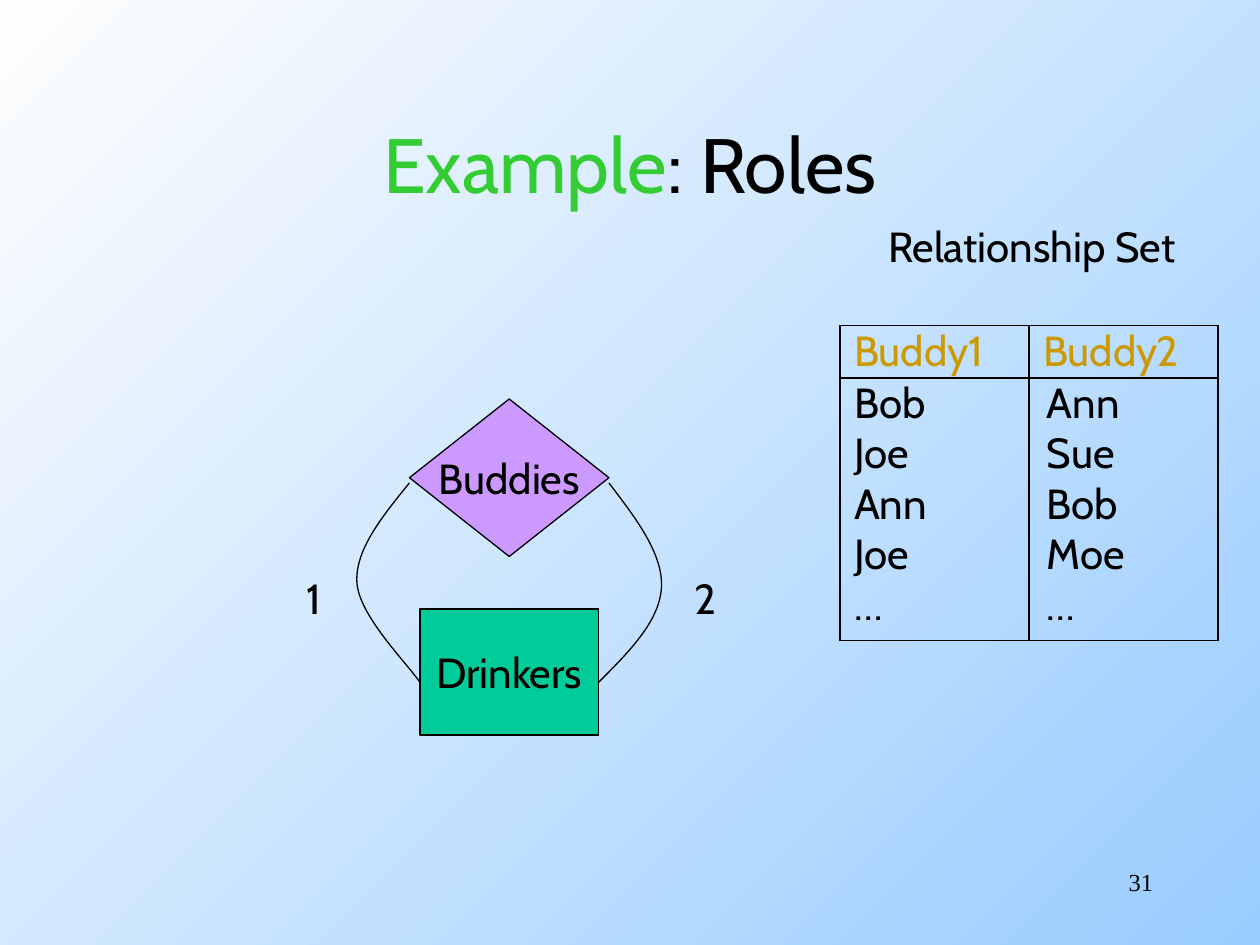
from lxml import etree
from pptx import Presentation, util as u
from pptx.dml.color import RGBColor
from pptx.enum import shapes, text
from pptx.oxml import ns

BLACK = RGBColor(0, 0, 0)
GREEN = RGBColor(0x33, 0xCC, 0x33)
TEAL = RGBColor(0, 0xCC, 0x99)
VIOLET = RGBColor(0xCC, 0x99, 0xFF)
GOLD = RGBColor(0xCC, 0x99, 0)
SKY = RGBColor(0x99, 0xCC, 0xFF)
WHITE = RGBColor(0xFE, 0xFE, 0xFE)

# The slide is a grid of 120 columns by 90 rows
prs = Presentation()
prs.slide_width, prs.slide_height = u.Inches(10), u.Inches(7.5)
CELL = prs.slide_width / 120
slide = prs.slides.add_slide(prs.slide_layouts[6])


def grid(*cells):
    return [u.Emu(round(n * CELL)) for n in cells]


def write(frame, runs, size=24, font="Cabin", align=text.PP_ALIGN.LEFT,
          anchor=text.MSO_ANCHOR.TOP, wrap=False):
    frame.word_wrap = wrap
    frame.vertical_anchor = anchor
    paragraph = frame.paragraphs[0]
    paragraph.alignment = align
    for words, color in runs:
        run = paragraph.add_run()
        run.text = words
        run.font.size, run.font.name = u.Pt(size), font
        run.font.color.rgb = color


# Background
background = slide.background.fill
background.gradient()
background.gradient_angle = 135
for stop, color in zip(background.gradient_stops, (SKY, WHITE)):
    stop.color.rgb = color

# Title
title = slide.shapes.add_textbox(*grid(9, 8, 102, 15))
write(title.text_frame, [("Example", GREEN), (": Roles", BLACK)], size=44,
      align=text.PP_ALIGN.CENTER, anchor=text.MSO_ANCHOR.MIDDLE, wrap=True)

# Entity set and relationship
for name, preset, color, place in (
        ("Drinkers", shapes.MSO_SHAPE.RECTANGLE, TEAL, (40, 58, 17, 12)),
        ("Buddies", shapes.MSO_SHAPE.DIAMOND, VIOLET, (39, 38, 19, 15))):
    node = slide.shapes.add_shape(preset, *grid(*place))
    node.shadow.inherit = False
    node.fill.solid()
    node.fill.fore_color.rgb = color
    node.line.color.rgb, node.line.width = BLACK, u.Pt(0.75)
    write(node.text_frame, [(name, BLACK)], align=text.PP_ALIGN.CENTER,
          anchor=text.MSO_ANCHOR.MIDDLE)

# Role labels
for role, column in (("1", 28), ("2", 65)):
    label = slide.shapes.add_textbox(*grid(column, 53.9, 4.6, 6))
    write(label.text_frame, [(role, BLACK)])

# Role curves: two cubic segments each, from Buddies to Drinkers
STEPS = 24
for curve in (
        [(58, 46), (60.6, 49.4), (63.2, 52.8), (63, 56),
         (62.8, 59.2), (59.9, 62.1), (57, 65)],
        [(39, 46), (36.4, 49.2), (33.8, 52.4), (34, 55.5),
         (34.2, 58.7), (39, 63.4), (40, 65)]):
    points = []
    for first in (0, 3):
        controls = curve[first:first + 4]
        for step in range(1, STEPS + 1):
            t = step / STEPS
            weights = ((1 - t) ** 3, 3 * t * (1 - t) ** 2, 3 * t * t * (1 - t), t ** 3)
            points.append(grid(*(sum(w * c[axis] for w, c in zip(weights, controls))
                                 for axis in (0, 1))))
    builder = slide.shapes.build_freeform(*grid(*curve[0]))
    builder.add_line_segments(points, close=False)
    role_line = builder.convert_to_shape()
    role_line.shadow.inherit = False
    role_line.fill.background()
    role_line.line.color.rgb, role_line.line.width = BLACK, u.Pt(0.75)

# Relationship set
heading = slide.shapes.add_textbox(*grid(83.4, 20.4, 30, 6))
write(heading.text_frame, [("Relationship Set", BLACK)])

pairs = [("Buddy1", "Buddy2"), ("Bob", "Ann"), ("Joe", "Sue"),
         ("Ann", "Bob"), ("Joe", "Moe"), ("…", "…")]
last = len(pairs) - 1
table = slide.shapes.add_table(len(pairs), 2, *grid(80, 31, 36, 30)).table
table.first_row = table.horz_banding = False
for row, height in zip(table.rows, (5, 4.8, 4.8, 4.8, 4.8, 5.8)):
    row.height = grid(height)[0]
for r, pair in enumerate(pairs):
    for c, buddy in enumerate(pair):
        cell = table.cell(r, c)
        cell.margin_top = cell.margin_bottom = cell.margin_right = 0
        cell.margin_left = grid(1.7 if r and c else 1.35)[0]
        write(cell.text_frame, [(buddy, BLACK if r else GOLD)])
        # Ruled all round, between the columns and under the header
        ruled = {"lnL": True, "lnR": True, "lnT": r < 2, "lnB": r in (0, last)}
        for side, visible in ruled.items():
            edge = etree.SubElement(cell._tc.get_or_add_tcPr(), ns.qn(f"a:{side}"), w="9525")
            if visible:
                ink = etree.SubElement(edge, ns.qn("a:solidFill"))
                etree.SubElement(ink, ns.qn("a:srgbClr"), val=str(BLACK))
            else:
                etree.SubElement(edge, ns.qn("a:noFill"))
        cell.fill.background()

# Slide number
number = slide.shapes.add_textbox(*grid(86, 82, 25, 6))
write(number.text_frame, [("31", BLACK)], size=14, font="Times New Roman",
      align=text.PP_ALIGN.RIGHT, wrap=True)

prs.save("out.pptx")
